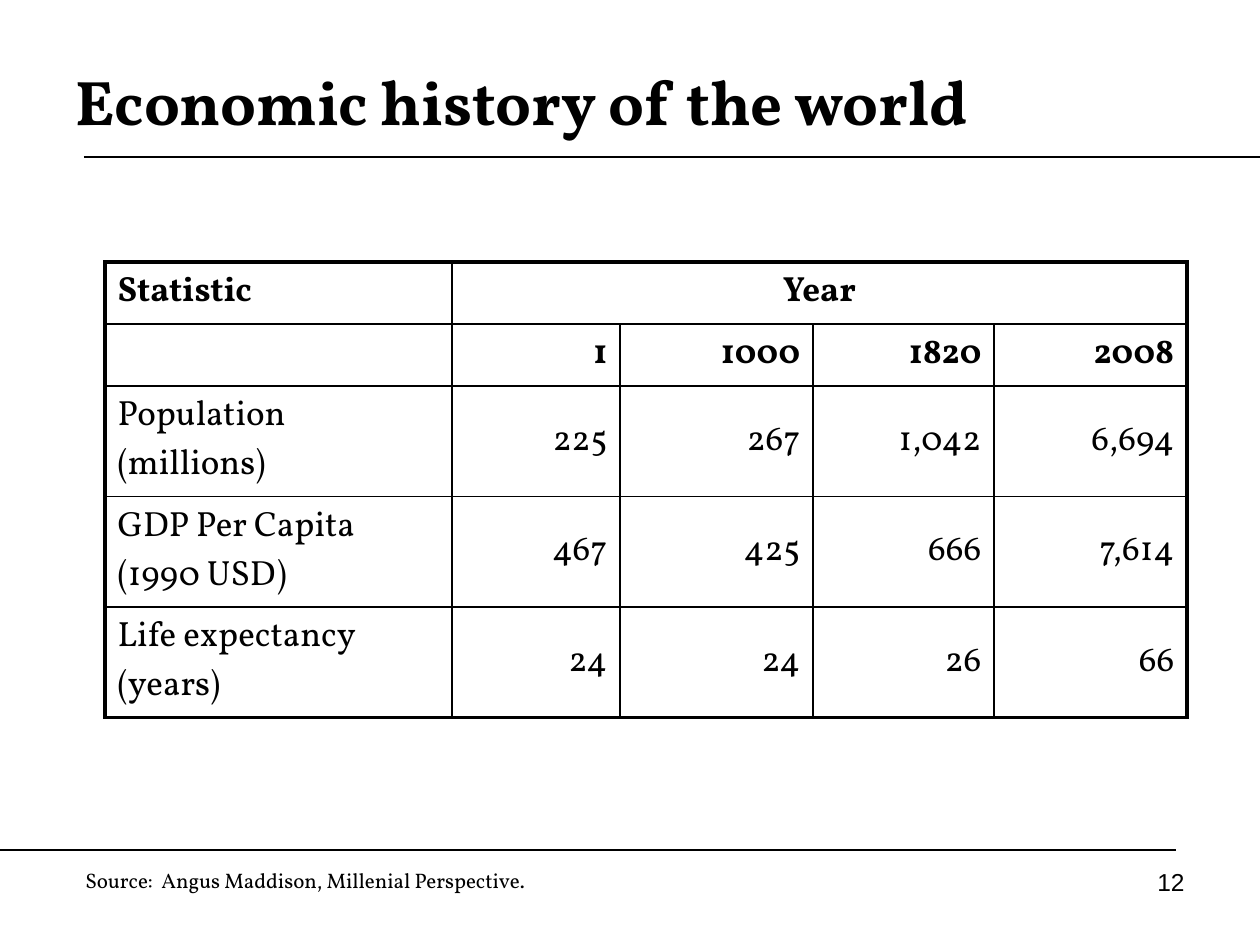
import pptx
import pptx.util
import pptx.dml.color
import pptx.enum.text
import pptx.enum.shapes
import pptx.oxml.ns
from lxml import etree

COLORS = {"ink": "000000"}
TITLE = "Economic history of the world"
SOURCE = "Source:  Angus Maddison, Millenial Perspective."
PAGE = "12"
ROWS = [
    ["Statistic", "Year", "", "", ""],
    ["", "1", "1000", "1820", "2008"],
    ["Population (millions)", "225", "267", "1,042", "6,694"],
    ["GDP Per Capita (1990 USD)", "467", "425", "666", "7,614"],
    ["Life expectancy (years)", "24", "24", "26", "66"],
]
HEADER_ROWS = 2
COL_WIDTHS = [347, 168, 193, 181, 193]
ROW_HEIGHTS = [62, 62, 99, 98, 98]
TABLE_AT = (105, 262)
RULES = [(84, 157, 1260, 157), (0, 850, 1176, 850)]
THIN, THICK = 1, 2.25

ALIGN = pptx.enum.text.PP_ALIGN
MIDDLE = pptx.enum.text.MSO_ANCHOR.MIDDLE
qn = pptx.oxml.ns.qn


def px(n):
    return round(n * 914400 / 126)


def write(tf, text, align, **fmt):
    p = tf.paragraphs[0]
    p.alignment = align
    r = p.add_run()
    r.text = text
    r.font.color.rgb = pptx.dml.color.RGBColor.from_string(COLORS["ink"])
    for name, value in {"name": "Vollkorn", "bold": False, **fmt}.items():
        setattr(r.font, name, value)


def add_label(s, box, text, align, **fmt):
    tf = s.shapes.add_textbox(*map(px, box)).text_frame
    tf.word_wrap = True
    write(tf, text, align, **fmt)


def add_rule(s, ends):
    line = s.shapes.add_connector(
        pptx.enum.shapes.MSO_CONNECTOR.STRAIGHT, *map(px, ends))
    line.line.width = pptx.util.Pt(0.75)
    line.line.color.rgb = pptx.dml.color.RGBColor.from_string(COLORS["ink"])
    etree.SubElement(line._element.spPr, qn("a:effectLst"))


def set_borders(cell, outer):
    tcPr = cell._tc.get_or_add_tcPr()
    for side, is_outer in outer.items():
        width = pptx.util.Pt(THICK if is_outer else THIN)
        ln = etree.SubElement(tcPr, qn("a:ln" + side), w=str(width))
        fill = etree.SubElement(ln, qn("a:solidFill"))
        etree.SubElement(fill, qn("a:srgbClr"), val=COLORS["ink"])


def add_table(s):
    size = (sum(COL_WIDTHS), sum(ROW_HEIGHTS))
    table = s.shapes.add_table(
        len(ROWS), len(COL_WIDTHS), *map(px, TABLE_AT + size)).table
    table.first_row = table.horz_banding = False
    for col, w in zip(table.columns, COL_WIDTHS):
        col.width = px(w)
    for row, h in zip(table.rows, ROW_HEIGHTS):
        row.height = px(h)
    last_row, last_col = len(ROWS) - 1, len(COL_WIDTHS) - 1
    table.cell(0, 1).merge(table.cell(0, last_col))
    for i, row in enumerate(ROWS):
        for j, text in enumerate(row):
            cell = table.cell(i, j)
            right = j == last_col or cell.is_merge_origin
            set_borders(cell, {"L": j == 0, "R": right,
                               "T": i == 0, "B": i == last_row})
            cell.fill.background()
            cell.vertical_anchor = MIDDLE
            if text:
                align = (ALIGN.LEFT if j == 0 else
                         ALIGN.CENTER if cell.is_merge_origin else ALIGN.RIGHT)
                write(cell.text_frame, text, align,
                      size=pptx.util.Pt(20), bold=i < HEADER_ROWS)


def main():
    prs = pptx.Presentation()
    prs.slide_width, prs.slide_height = px(1260), px(945)
    s = prs.slides.add_slide(prs.slide_layouts[5])
    for ends in RULES:
        add_rule(s, ends)
    title = s.shapes.title
    title.left, title.top, title.width, title.height = map(
        px, (63, 42, 1134, 116))
    title.text_frame.vertical_anchor = MIDDLE
    write(title.text_frame, TITLE, ALIGN.LEFT,
          size=pptx.util.Pt(36), bold=True)
    add_table(s)
    add_label(s, (73, 861, 609, 38), SOURCE, ALIGN.LEFT,
              size=pptx.util.Pt(12))
    add_label(s, (903, 861, 294, 66), PAGE, ALIGN.RIGHT,
              size=pptx.util.Pt(14), name="Arial")
    prs.save("out.pptx")


if __name__ == "__main__":
    main()
